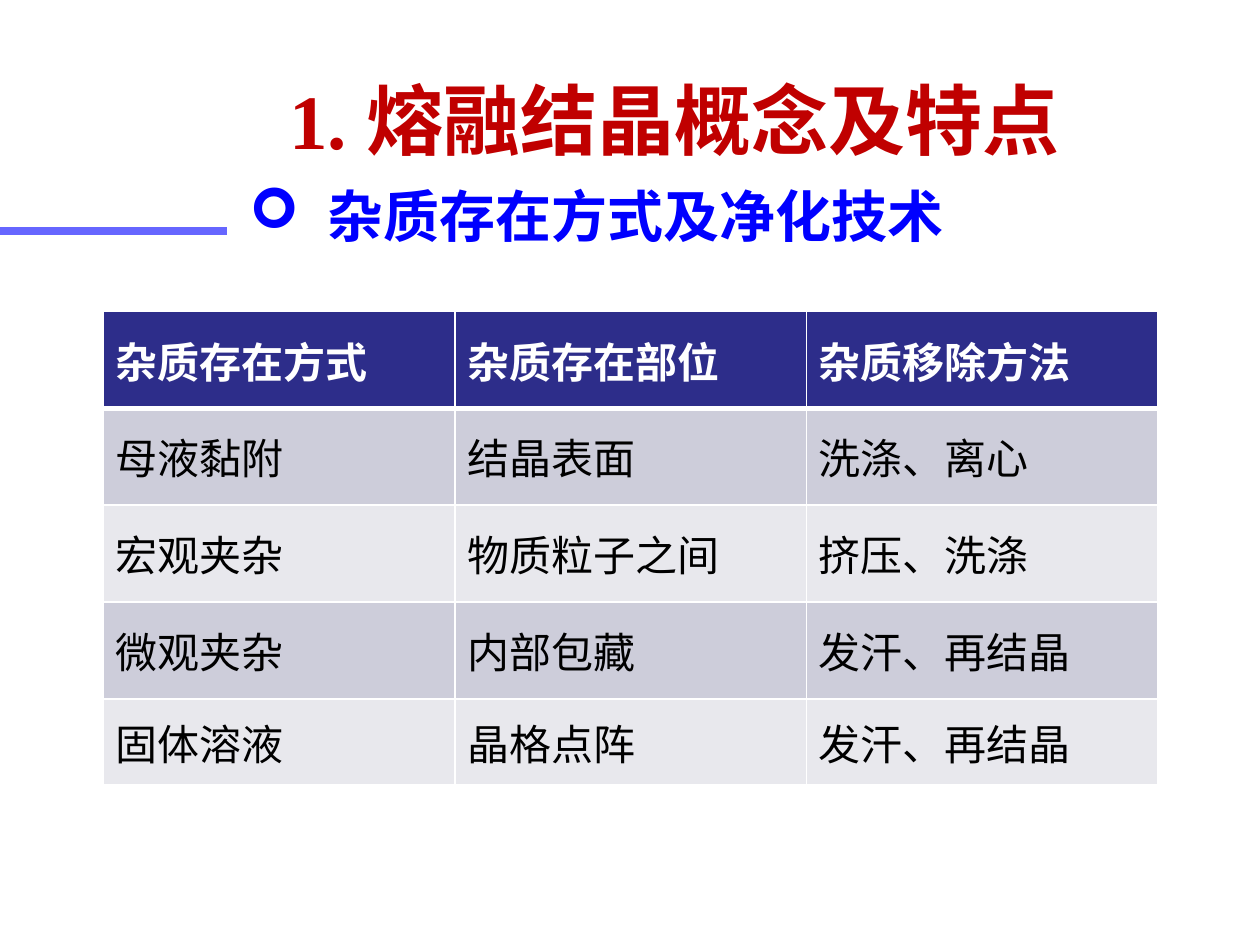
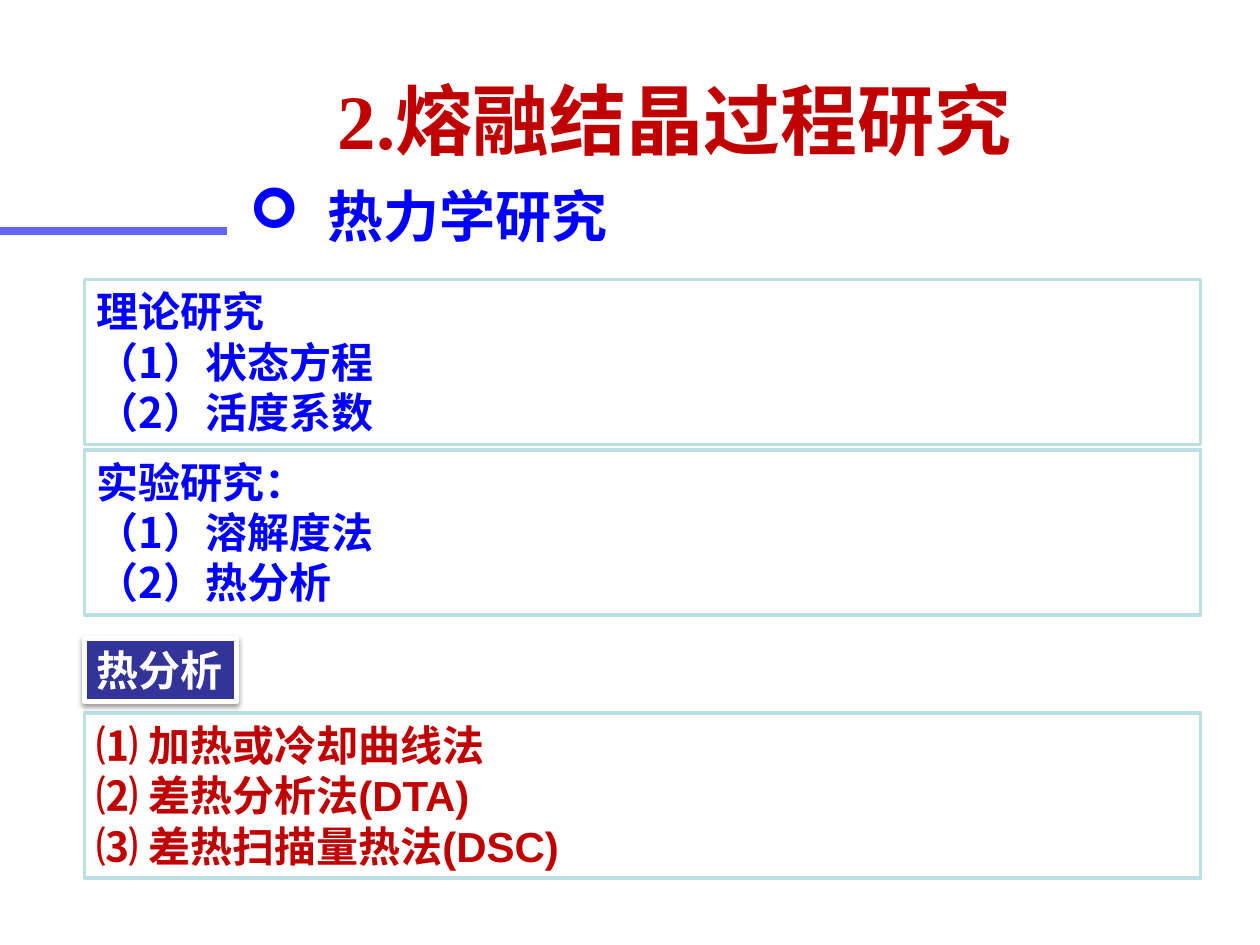
import pptx
import pptx.util
import pptx.dml.color
import pptx.enum.shapes
import pptx.enum.text
import pptx.oxml
import pptx.oxml.ns

Inches = pptx.util.Inches
Pt = pptx.util.Pt
ANCHOR = pptx.enum.text.MSO_ANCHOR
ALIGN = pptx.enum.text.PP_ALIGN
FIT = pptx.enum.text.MSO_AUTO_SIZE
NS = pptx.oxml.ns.nsdecls("a")

RED, BLUE, WHITE, BLACK = "C00000", "0000FF", "FFFFFF", "000000"
BAR, EDGE, LABEL = "6666FF", "BBE0E3", "333399"
HEAD, BANDS = "2D2D8A", ("CDCDDA", "E8E8ED")
SANS, SERIF, HAN = "Arial", "Times New Roman", "Noto Sans CJK SC"


def color(text):
    return pptx.dml.color.RGBColor.from_string(text)


def xml(text):
    """Parse one element; its root tag gets the drawing namespace."""
    tag, rest = text.split(" ", 1)
    return pptx.oxml.parse_xml(f"{tag} {NS} {rest}")


class Deck:
    """Holds the presentation, its style and the current slide."""

    def __init__(self):
        self.prs = pptx.Presentation()
        self.prs.slide_width = Inches(10)
        self.prs.slide_height = Inches(7.5)
        self.slide = None

    def page(self, title, topic):
        self.slide = self.prs.slides.add_slide(self.prs.slide_layouts[6])
        self.line(0, 1.83, 1.8, 1.83)
        self.title(title)
        self.topic(topic)

    def line(self, x1, y1, x2, y2):
        kind = pptx.enum.shapes.MSO_CONNECTOR.STRAIGHT
        line = self.slide.shapes.add_connector(
            kind, Inches(x1), Inches(y1), Inches(x2), Inches(y2))
        line.line.color.rgb = color(BAR)
        line.line.width = Pt(4.5)
        line._element.spPr.append(xml("<a:effectLst />"))

    def run(self, para, text, size, font, tint, bold=True):
        run = para.add_run()
        run.text = text
        run.font.size = Pt(size)
        run.font.name = font
        run.font.bold = bold
        run.font.color.rgb = color(tint)

    def text(self, left, top, width, height):
        box = self.slide.shapes.add_textbox(
            Inches(left), Inches(top), Inches(width), Inches(height))
        frame = box.text_frame
        frame.word_wrap = True
        frame.vertical_anchor = ANCHOR.MIDDLE
        return frame

    def title(self, text):
        frame = self.text(1.96, 0.53, 6.64, 0.83)
        frame.margin_left = Inches(0.25)
        para = frame.paragraphs[0]
        para.alignment = ALIGN.CENTER
        self.run(para, text, 44, SERIF, RED)

    def topic(self, text):
        para = self.text(1.88, 1.35, 7.62, 0.71).paragraphs[0]
        props = para._p.get_or_add_pPr()
        props.set("marL", str(Inches(0.62)))
        props.set("indent", str(-Inches(0.62)))
        props.append(xml('<a:buFont typeface="Wingdings"/>'))
        props.append(xml('<a:buChar char="➢"/>'))
        self.run(para, text, 32, SANS, BLUE)

    def box(self, place, lines, fill, edge, width, font, tint):
        """Draw a framed rectangle with one paragraph per line."""
        kind = pptx.enum.shapes.MSO_SHAPE.RECTANGLE
        box = self.slide.shapes.add_shape(kind, *map(Inches, place))
        box.shadow.inherit = False
        box.fill.solid()
        box.fill.fore_color.rgb = color(fill)
        box.line.color.rgb = color(edge)
        box.line.width = Pt(width)
        frame = box.text_frame
        frame.word_wrap = True
        frame.auto_size = FIT.SHAPE_TO_FIT_TEXT
        frame.vertical_anchor = ANCHOR.TOP
        for i, line in enumerate(lines):
            para = frame.add_paragraph() if i else frame.paragraphs[0]
            para.alignment = ALIGN.LEFT
            self.run(para, line, 24, font, tint)
        return box

    def panel(self, top, lines, font=HAN, tint=BLUE):
        self.box((0.67, top, 8.86, 1.31), lines, WHITE, EDGE, 2, font, tint)

    def label(self, top, text):
        box = self.box((0.67, top, 1.21, 0.5), [text],
                       LABEL, WHITE, 3, SANS, WHITE)
        box.text_frame.word_wrap = False
        glow = box._element.spPr.find(pptx.oxml.ns.qn("a:effectLst"))
        glow.append(xml(
            f'<a:outerShdw blurRad="{Pt(3.1)}" dist="{Pt(1.6)}" dir="5400000" '
            'rotWithShape="0"><a:srgbClr val="000000">'
            '<a:alpha val="38000"/></a:srgbClr></a:outerShdw>'))

    def cell(self, cell, text, row):
        cell.fill.solid()
        cell.fill.fore_color.rgb = color(BANDS[(row - 1) % 2] if row else HEAD)
        cell.vertical_anchor = ANCHOR.MIDDLE
        self.run(cell.text_frame.paragraphs[0], text, 24, SANS,
                 BLACK if row else WHITE, bold=not row)
        # White borders, thicker between the head and the body
        sides = {"L": 1, "R": 1, "T": 3 if row == 1 else 1,
                 "B": 1 if row else 3}
        props = cell._tc.get_or_add_tcPr()
        for i, (side, width) in enumerate(sides.items()):
            props.insert(i, xml(
                f'<a:ln{side} w="{Pt(width)}"><a:solidFill>'
                f'<a:srgbClr val="{WHITE}"/></a:solidFill></a:ln{side}>'))

    def table(self, left, top, width, heights, rows):
        cols = len(rows[0])
        table = self.slide.shapes.add_table(
            len(rows), cols, Inches(left), Inches(top),
            Inches(width), Inches(sum(heights))).table
        table.horz_banding = False
        for col in table.columns:
            col.width = Inches(width / cols)
        for r, (height, texts) in enumerate(zip(heights, rows)):
            table.rows[r].height = Inches(height)
            for c, text in enumerate(texts):
                self.cell(table.cell(r, c), text, r)


def main():
    deck = Deck()

    # Slide 1: kinds of impurity and how to remove them
    deck.page("1. 熔融结晶概念及特点", "杂质存在方式及净化技术")
    deck.table(0.82, 2.47, 8.37, [0.77] * 4 + [0.68], [
        ("杂质存在方式", "杂质存在部位", "杂质移除方法"),
        ("母液黏附", "结晶表面", "洗涤、离心"),
        ("宏观夹杂", "物质粒子之间", "挤压、洗涤"),
        ("微观夹杂", "内部包藏", "发汗、再结晶"),
        ("固体溶液", "晶格点阵", "发汗、再结晶"),
    ])

    # Slide 2: thermodynamic studies
    deck.page("2.熔融结晶过程研究", "热力学研究")
    deck.panel(2.22, ["理论研究", "（1）状态方程", "（2）活度系数"])
    deck.panel(3.57, ["实验研究：", "（1）溶解度法", "（2）热分析"])
    deck.panel(5.66, ["⑴ 加热或冷却曲线法", "⑵ 差热分析法(DTA)",
                      "⑶ 差热扫描量热法(DSC)"], SANS, RED)
    deck.label(5.07, "热分析")

    deck.prs.save("out.pptx")


if __name__ == "__main__":
    main()
